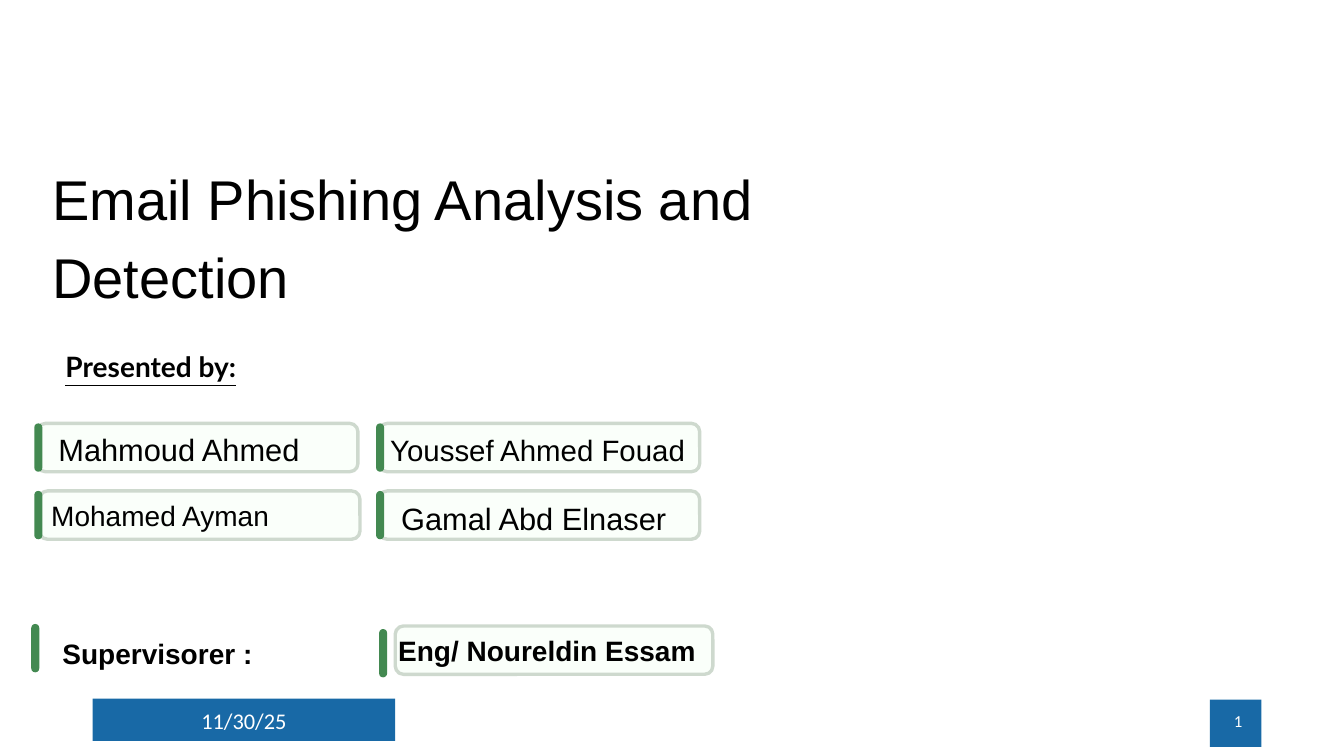
"""Build the title slide of an e-mail phishing project deck."""
from dataclasses import dataclass

from pptx import Presentation
from pptx.dml.color import RGBColor
from pptx.enum.shapes import MSO_SHAPE
from pptx.enum.text import MSO_ANCHOR, PP_ALIGN
from pptx.util import Inches, Pt

RECTANGLE = MSO_SHAPE.RECTANGLE
ROUNDED = MSO_SHAPE.ROUNDED_RECTANGLE
TOP, MIDDLE = MSO_ANCHOR.TOP, MSO_ANCHOR.MIDDLE
LEFT, CENTER, RIGHT = PP_ALIGN.LEFT, PP_ALIGN.CENTER, PP_ALIGN.RIGHT


@dataclass(frozen=True)
class Theme:
    """Colours, fonts and type sizes of the slide."""
    ink: str = "000000"
    white: str = "FFFFFF"
    blue: str = "1869A6"
    green: str = "438951"
    card_fill: str = "FAFFFA"
    card_line: str = "CED9CE"
    body_font: str = "Arial"
    heading_font: str = "Lato"
    footer_font: str = "Calibri"
    title_size: float = 40
    name_size: float = 22
    long_name_size: float = 21
    label_size: float = 20
    date_size: float = 16
    number_size: float = 12


THEME = Theme()


@dataclass(frozen=True)
class Area:
    """A rectangle on the slide, in inches."""
    left: float
    top: float
    width: float
    height: float


@dataclass(frozen=True)
class Style:
    """The look of one paragraph."""
    size: float
    font: str = THEME.body_font
    color: str = THEME.ink
    bold: bool = False
    underline: bool = False
    align: PP_ALIGN = LEFT
    anchor: MSO_ANCHOR = TOP
    line_points: float | None = None


@dataclass(frozen=True)
class Label:
    """A text box with its words and style."""
    text: str
    area: Area
    style: Style
    inset: bool = False


NAME = Style(THEME.name_size, line_points=27.5)
LONG_NAME = Style(THEME.long_name_size, line_points=27.5)
STRONG = Style(THEME.label_size, bold=True)
DATE = Style(THEME.date_size, THEME.footer_font, THEME.white, align=CENTER, anchor=MIDDLE)
NUMBER = Style(THEME.number_size, THEME.footer_font, THEME.white, align=RIGHT, anchor=MIDDLE)

ROW_HEIGHT = 0.48
FOOTER_BLOCKS = [Area(0.92, 6.93, 3, 0.42), Area(12, 6.94, 0.51, 0.47)]
CARDS = [
    Area(0.37, 4.2, 3.18, ROW_HEIGHT),
    Area(0.39, 4.87, 3.18, ROW_HEIGHT),
    Area(3.76, 4.2, 3.18, ROW_HEIGHT),
    Area(3.76, 4.87, 3.18, ROW_HEIGHT),
    Area(3.92, 6.21, 3.15, ROW_HEIGHT),
]
ACCENTS = [(0.34, 4.2), (0.34, 4.87), (3.73, 4.2), (3.73, 4.87), (0.31, 6.19), (3.76, 6.24)]
LABELS = [
    Label("11/30/25", Area(0.92, 6.95, 3, 0.4), DATE, True),
    Label("1", Area(9.42, 6.95, 3, 0.4), NUMBER, True),
    Label("Email Phishing Analysis and Detection", Area(0.52, 1.53, 7.01, 0.8),
          Style(THEME.title_size, line_points=55.5)),
    Label("Presented by:", Area(0.65, 3.41, 2.64, 0.4),
          Style(THEME.label_size, THEME.heading_font, bold=True, underline=True,
                line_points=28.5)),
    Label("Mahmoud Ahmed", Area(0.58, 4.26, 2.9, 0.4), NAME),
    Label("Mohamed Ayman", Area(0.41, 4.87, 3.1, ROW_HEIGHT),
          Style(THEME.label_size, anchor=MIDDLE), True),
    Label("Youssef Ahmed Fouad", Area(3.87, 4.26, 3.05, 0.4), LONG_NAME),
    Label("Gamal Abd Elnaser", Area(3.98, 4.94, 2.9, 0.4), NAME),
    Label("Supervisorer :", Area(0.52, 6.27, 3.12, 0.44), STRONG, True),
    Label("Eng/ Noureldin Essam", Area(3.85, 6.24, 5.56, 0.44), STRONG, True),
]


def place(area: Area) -> tuple:
    """Return the area as slide lengths."""
    return Inches(area.left), Inches(area.top), Inches(area.width), Inches(area.height)


def draw_block(page, kind: MSO_SHAPE, area: Area, fill: str, line: str | None = None,
               rounding: float | None = None) -> None:
    """Draw a filled shape, outlined when a line colour is given."""
    block = page.shapes.add_shape(kind, *place(area))
    block.shadow.inherit = False
    block.fill.solid()
    block.fill.fore_color.rgb = RGBColor.from_string(fill)
    if line:
        block.line.color.rgb = RGBColor.from_string(line)
        block.line.width = Pt(2.4)
    else:
        block.line.fill.background()
    if rounding is not None:
        block.adjustments[0] = rounding


def draw_label(page, label: Label) -> None:
    """Draw one text box."""
    style = label.style
    frame = page.shapes.add_textbox(*place(label.area)).text_frame
    frame.word_wrap = True
    frame.vertical_anchor = style.anchor
    if not label.inset:
        frame.margin_left = frame.margin_right = 0
        frame.margin_top = frame.margin_bottom = 0
    para = frame.paragraphs[0]
    para.text = label.text
    para.alignment = style.align
    if style.line_points:
        para.line_spacing = Pt(style.line_points)
    para.font.name = style.font
    para.font.size = Pt(style.size)
    para.font.bold = style.bold
    para.font.underline = style.underline
    para.font.color.rgb = RGBColor.from_string(style.color)


def main() -> None:
    """Build and save the deck."""
    deck = Presentation()
    deck.slide_width, deck.slide_height = Inches(13.33), Inches(7.5)
    page = deck.slides.add_slide(deck.slide_layouts[6])
    for area in FOOTER_BLOCKS:
        draw_block(page, RECTANGLE, area, THEME.blue)
    for area in CARDS:
        draw_block(page, ROUNDED, area, THEME.card_fill, THEME.card_line, 0.17)
    for left, top in ACCENTS:
        draw_block(page, ROUNDED, Area(left, top, 0.08, ROW_HEIGHT), THEME.green, rounding=0.5)
    for label in LABELS:
        draw_label(page, label)
    deck.save("out.pptx")


if __name__ == "__main__":
    main()
